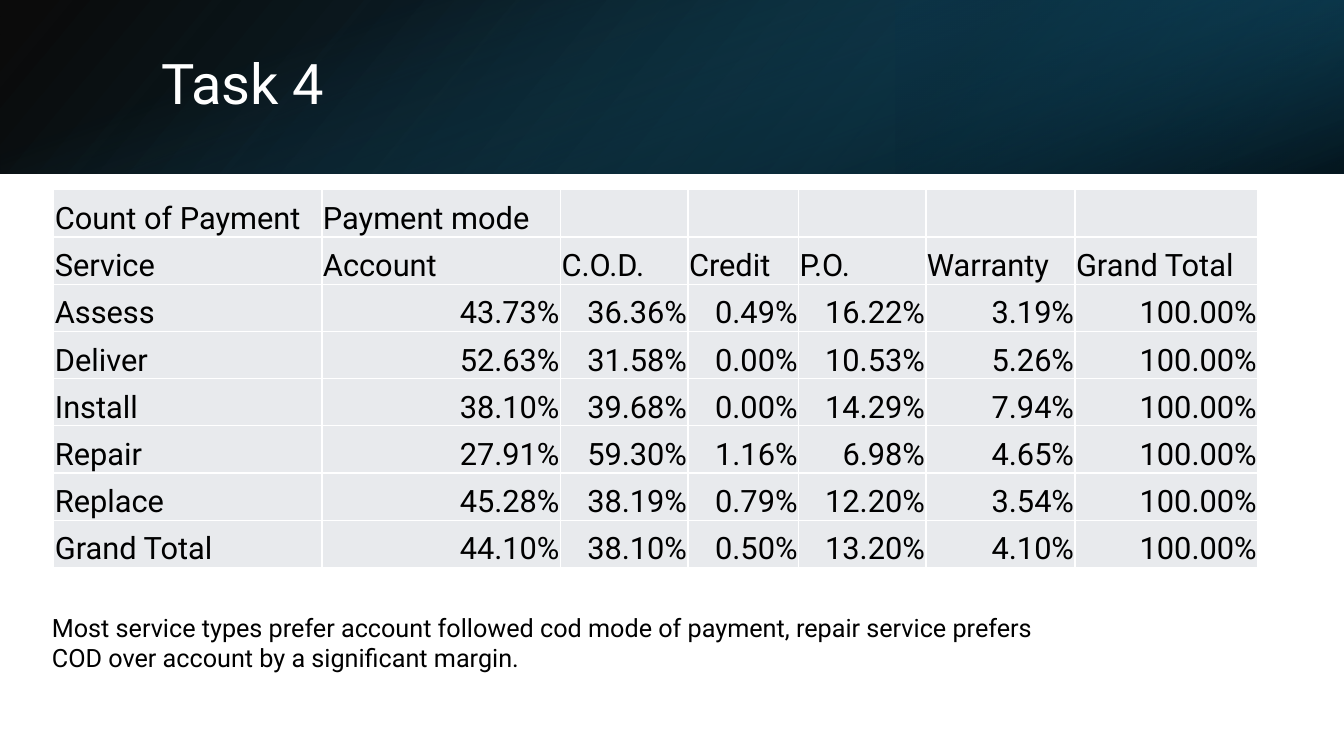
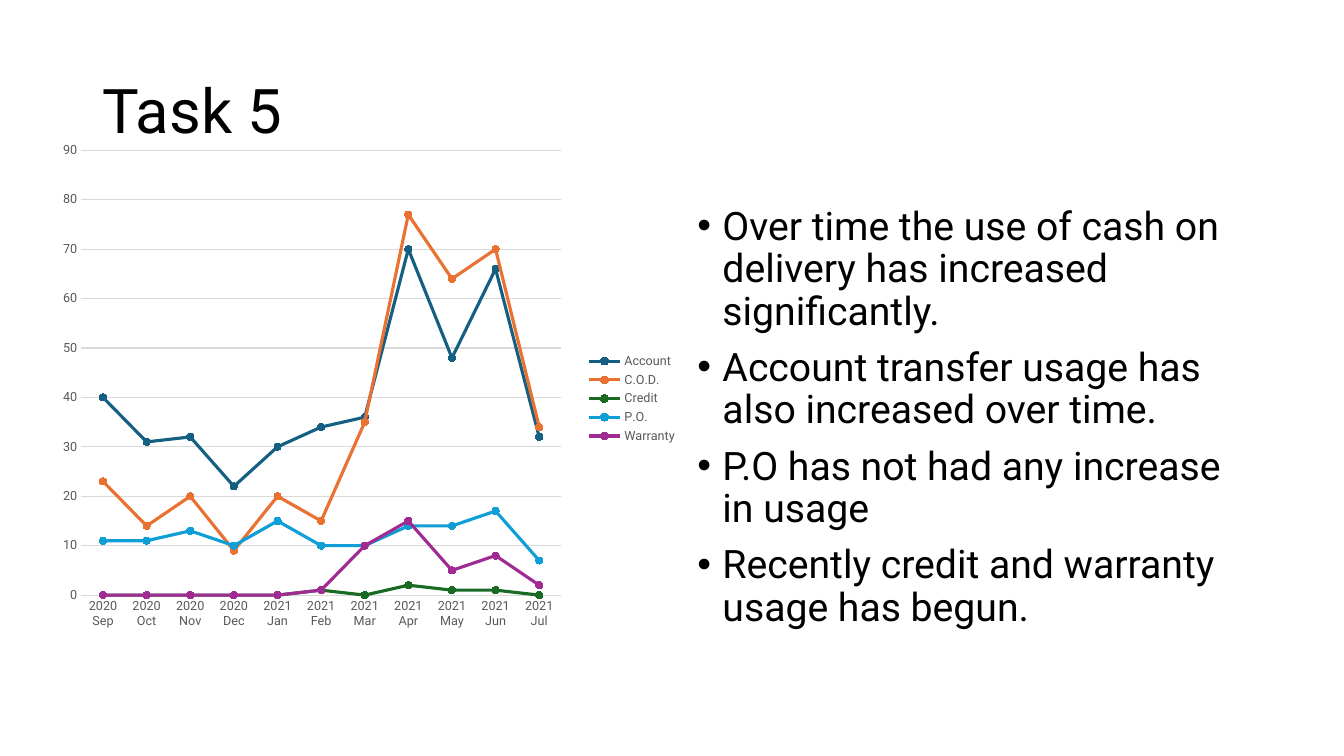
from lxml.etree import SubElement
from pptx import Presentation
from pptx.chart.data import CategoryChartData
from pptx.dml.color import RGBColor
from pptx.enum.chart import XL_CHART_TYPE, XL_LEGEND_POSITION, XL_MARKER_STYLE, XL_TICK_MARK
from pptx.enum.shapes import MSO_SHAPE
from pptx.enum.text import MSO_ANCHOR, PP_ALIGN
from pptx.oxml import parse_xml
from pptx.oxml.ns import nsdecls, qn
from pptx.util import Pt

FONT = "Roboto"
BLACK = RGBColor(0x00, 0x00, 0x00)
WHITE = RGBColor(0xFF, 0xFF, 0xFF)
NAVY = RGBColor(0x10, 0x48, 0x62)
DEEP = RGBColor(0x0B, 0x30, 0x41)
TEAL = RGBColor(0x15, 0x60, 0x82)
ORANGE = RGBColor(0xE9, 0x71, 0x32)
GREEN = RGBColor(0x19, 0x6B, 0x24)
SKY = RGBColor(0x0F, 0x9E, 0xD5)
PURPLE = RGBColor(0xA0, 0x2B, 0x93)
PALE = RGBColor(0xE8, 0xEA, 0xED)
GRID = RGBColor(0xD9, 0xD9, 0xD9)
GREY = RGBColor(0x59, 0x59, 0x59)

WIDE, HIGH, BAND = 960, 540, 124

COLS = [191.5, 170.5, 91, 79, 91, 106.5, 130.5]
ROW = 33.75
ROWS = [
    ["Count of Payment", "Payment mode", "", "", "", "", ""],
    ["Service", "Account", "C.O.D.", "Credit", "P.O.", "Warranty", "Grand Total"],
    ["Assess", "43.73%", "36.36%", "0.49%", "16.22%", "3.19%", "100.00%"],
    ["Deliver", "52.63%", "31.58%", "0.00%", "10.53%", "5.26%", "100.00%"],
    ["Install", "38.10%", "39.68%", "0.00%", "14.29%", "7.94%", "100.00%"],
    ["Repair", "27.91%", "59.30%", "1.16%", "6.98%", "4.65%", "100.00%"],
    ["Replace", "45.28%", "38.19%", "0.79%", "12.20%", "3.54%", "100.00%"],
    ["Grand Total", "44.10%", "38.10%", "0.50%", "13.20%", "4.10%", "100.00%"],
]
NOTE = ("Most service types prefer account followed cod mode of payment, "
        "repair service prefers COD over account by a significant margin.")

MONTHS = ["2020 Sep", "2020 Oct", "2020 Nov", "2020 Dec", "2021 Jan", "2021 Feb",
          "2021 Mar", "2021 Apr", "2021 May", "2021 Jun", "2021 Jul"]
MODES = [
    ("Account", TEAL, [40, 31, 32, 22, 30, 34, 36, 70, 48, 66, 32]),
    ("C.O.D.", ORANGE, [23, 14, 20, 9, 20, 15, 35, 77, 64, 70, 34]),
    ("Credit", GREEN, [0, 0, 0, 0, 0, 1, 0, 2, 1, 1, 0]),
    ("P.O.", SKY, [11, 11, 13, 10, 15, 10, 10, 14, 14, 17, 7]),
    ("Warranty", PURPLE, [0, 0, 0, 0, 0, 1, 10, 15, 5, 8, 2]),
]
POINTS = [
    "Over time the use of cash on delivery has increased significantly.",
    "Account transfer usage has also increased over time.",
    "P.O has not had any increase in usage",
    "Recently credit and warranty usage has begun.",
]


class Deck:
    """Holds the shared style and the slide being built."""

    def __init__(self):
        self.prs = Presentation()
        self.prs.slide_width, self.prs.slide_height = Pt(WIDE), Pt(HIGH)
        self.slide = None

    def start(self):
        self.slide = self.prs.slides.add_slide(self.prs.slide_layouts[5])

    def style(self, font, size, color):
        font.name, font.size, font.color.rgb = FONT, Pt(size), color

    def add_run(self, para, text, size, color=BLACK):
        run = para.add_run()
        run.text = text
        self.style(run.font, size, color)

    def title(self, text, box, size, color):
        """Fill the title and bring it in front of what is drawn so far."""
        shape = self.slide.shapes.title
        shape.left, shape.top, shape.width, shape.height = map(Pt, box)
        shape.element.getparent().append(shape.element)
        frame = shape.text_frame
        frame.vertical_anchor = MSO_ANCHOR.MIDDLE
        para = frame.paragraphs[0]
        para.alignment, para.line_spacing = PP_ALIGN.LEFT, 0.9
        self.add_run(para, text, size, color)

    def fade(self, box, angle, stops, turn=0, flip=False):
        """Add a rectangle with a gradient of (place, colour, opacity) stops."""
        shape = self.slide.shapes.add_shape(MSO_SHAPE.RECTANGLE, *map(Pt, box))
        shape.shadow.inherit = False
        shape.line.fill.background()
        shape.rotation = turn
        props = shape.element.spPr
        if flip:
            props.find(qn("a:xfrm")).set("flipH", "1")
        marks = "".join(
            f'<a:gs pos="{place * 1000}"><a:srgbClr val="{color}">'
            f'<a:alpha val="{alpha * 1000}"/></a:srgbClr></a:gs>'
            for place, color, alpha in stops)
        props.find(qn("a:prstGeom")).addnext(parse_xml(
            f'<a:gradFill {nsdecls("a")} rotWithShape="1"><a:gsLst>{marks}</a:gsLst>'
            f'<a:lin ang="{angle * 60000}" scaled="0"/></a:gradFill>'))

    def text(self, box, lines, size, bullet=False):
        frame = self.slide.shapes.add_textbox(*map(Pt, box)).text_frame
        frame.word_wrap = True
        for num, line in enumerate(lines):
            para = frame.add_paragraph() if num else frame.paragraphs[0]
            if bullet:
                self.bullet(para)
            self.add_run(para, line, size)

    def bullet(self, para):
        para.line_spacing, para.space_before = 0.9, Pt(10)
        props = para._p.get_or_add_pPr()
        props.set("marL", str(Pt(18)))
        props.set("indent", str(-Pt(18)))
        SubElement(props, qn("a:buFont"), typeface="Arial")
        SubElement(props, qn("a:buChar"), char="•")

    def table(self, left, top, rows, cols, high):
        table = self.slide.shapes.add_table(
            len(rows), len(cols), Pt(left), Pt(top), Pt(sum(cols)), Pt(high * len(rows))).table
        table.first_row = table.horz_banding = False
        for col, width in zip(table.columns, cols):
            col.width = Pt(width)
        for row, line in enumerate(rows):
            table.rows[row].height = Pt(high)
            for col, text in enumerate(line):
                self.cell(table.cell(row, col), text)

    def cell(self, cell, text):
        cell.margin_left = cell.margin_right = cell.margin_top = Pt(0.75)
        cell.margin_bottom = 0
        cell.vertical_anchor = MSO_ANCHOR.BOTTOM
        props = cell._tc.get_or_add_tcPr()
        for side in ("lnL", "lnR", "lnT", "lnB"):
            props.append(parse_xml(
                f'<a:{side} {nsdecls("a")} w="{Pt(1)}"><a:solidFill>'
                f'<a:srgbClr val="{WHITE}"/></a:solidFill></a:{side}>'))
        cell.fill.solid()
        cell.fill.fore_color.rgb = PALE
        if text:
            para = cell.text_frame.paragraphs[0]
            para.alignment = PP_ALIGN.RIGHT if text.endswith("%") else PP_ALIGN.LEFT
            self.add_run(para, text, 22)

    def chart(self, box, cats, series, plot):
        """Add a line chart; plot is the inner area as shares of the box."""
        data = CategoryChartData()
        data.categories = cats
        for name, _, vals in series:
            data.add_series(name, vals)
        chart = self.slide.shapes.add_chart(
            XL_CHART_TYPE.LINE_MARKERS, *map(Pt, box), data).chart
        chart.has_title = False
        self.style(chart.font, 10, BLACK)
        chart.has_legend = True
        chart.legend.position = XL_LEGEND_POSITION.RIGHT
        chart.legend.include_in_layout = False
        self.style(chart.legend.font, 9, GREY)
        for axis in (chart.category_axis, chart.value_axis):
            axis.major_tick_mark = axis.minor_tick_mark = XL_TICK_MARK.NONE
            self.style(axis.tick_labels.font, 9, GREY)
        scale = chart.value_axis
        scale.minimum_scale, scale.maximum_scale, scale.major_unit = 0, 90, 10
        scale.format.line.fill.background()
        for line in (chart.category_axis.format.line, scale.major_gridlines.format.line):
            line.color.rgb, line.width = GRID, Pt(0.75)
        chart.plots[0].vary_by_categories = False
        for item, (_, color, _) in zip(chart.plots[0].series, series):
            item.smooth = False
            item.format.line.color.rgb, item.format.line.width = color, Pt(2.25)
            mark = item.marker
            mark.style, mark.size = XL_MARKER_STYLE.CIRCLE, 5
            mark.format.fill.solid()
            mark.format.fill.fore_color.rgb = color
            mark.format.line.color.rgb = color
        self.place(chart, plot)

    def place(self, chart, plot):
        area = chart._chartSpace.chart.plotArea
        for old in area.findall(qn("c:layout")):
            area.remove(old)
        sizes = "".join(f'<c:{key} val="{val}"/>' for key, val in zip("xywh", plot))
        area.insert(0, parse_xml(
            f'<c:layout {nsdecls("c")}><c:manualLayout><c:layoutTarget val="inner"/>'
            f'<c:xMode val="edge"/><c:yMode val="edge"/>{sizes}'
            f'</c:manualLayout></c:layout>'))


def main():
    deck = Deck()

    deck.start()
    deck.fade((0, 0, WIDE, BAND), 140, [(0, BLACK, 96), (100, NAVY, 100)], flip=True)
    deck.fade((WIDE * 2 / 3, 0, WIDE / 3, BAND), 320,
              [(19, DEEP, 68), (100, TEAL, 79)], turn=180, flip=True)
    shift = (WIDE - BAND) / 2
    deck.fade((shift, -shift, BAND, WIDE), 340,
              [(23, TEAL, 0), (99, BLACK, 74)], turn=90)
    deck.title("Task 4", (108, 27.5, 790, 69), 40, WHITE)
    deck.table(38.5, 135.5, ROWS, COLS, ROW)
    deck.text((30, 433.5, 744, 51), [NOTE], 18)

    deck.start()
    deck.title("Task 5", (66, 28.75, 828, 104.5), 44, BLACK)
    deck.text((491, 144, 403, 343), POINTS, 28, bullet=True)
    deck.chart((40, 100, 451, 369.5), MONTHS, MODES, (0.04, 0.02, 0.76, 0.86))

    deck.prs.save("out.pptx")


if __name__ == "__main__":
    main()
